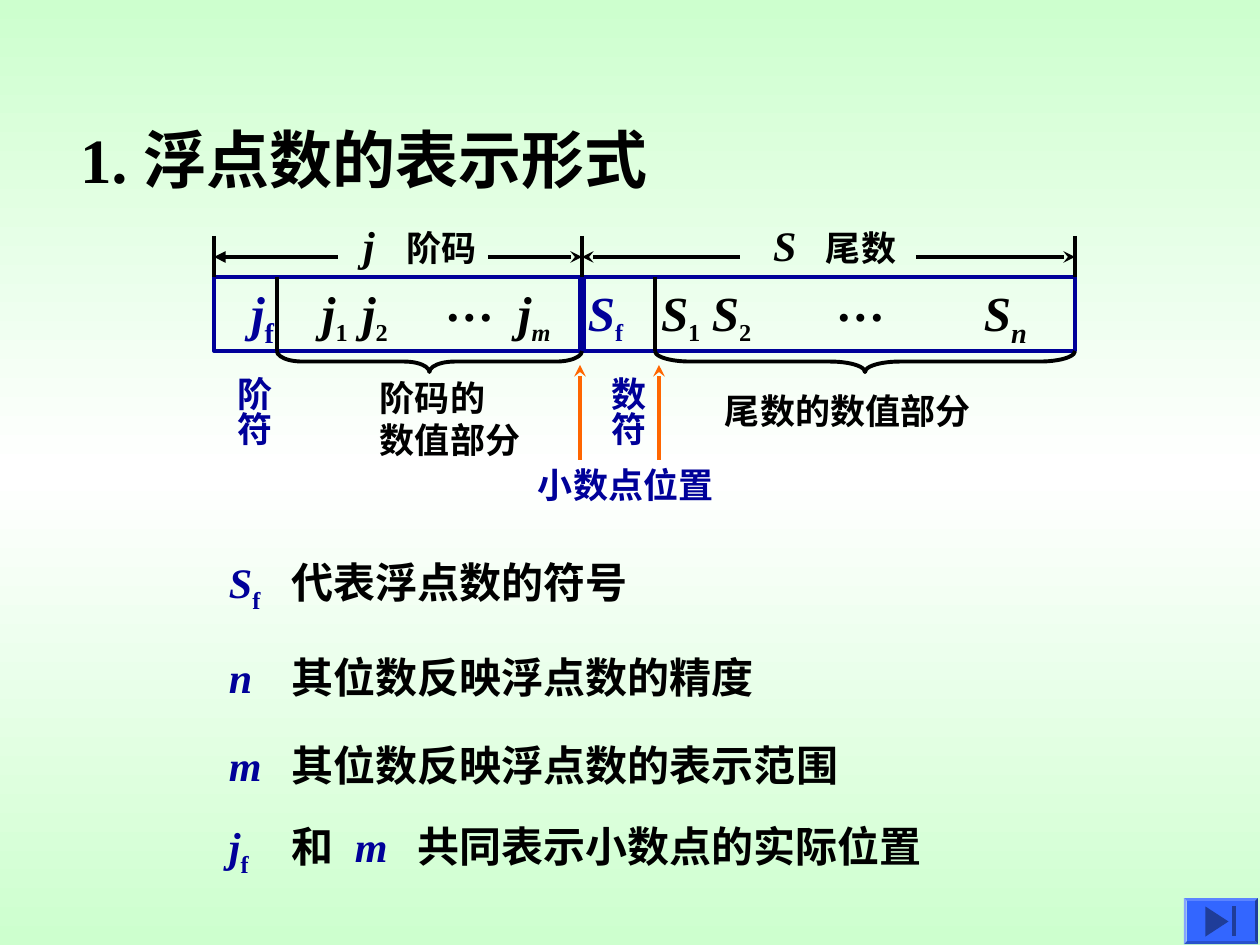
from copy import deepcopy

from pptx import Presentation
from pptx import util as u
from pptx.dml.color import RGBColor
from pptx.enum import shapes, text
from pptx.oxml import ns, xmlchemy

BLACK = RGBColor(0, 0, 0)
NAVY = RGBColor(0, 0, 0x99)
ORANGE = RGBColor(0xFF, 0x66, 0)
BLUE = RGBColor(0x33, 0x66, 0xFF)
DARK = RGBColor(0x1F, 0x3D, 0x99)
MINT = RGBColor(0xCD, 0xFF, 0xCE)
WHITE = RGBColor(0xFF, 0xFF, 0xFF)

BASE = {"name": "Times New Roman", "bold": True}
FRAME = {"word_wrap": True, "auto_size": text.MSO_AUTO_SIZE.NONE,
         "vertical_anchor": text.MSO_ANCHOR.TOP}
KIND = shapes.MSO_SHAPE

# Bit register: field edges and top and bottom
LEFT, EXP, MID, MAN, RIGHT = 214, 277, 582, 655, 1075
TOP, BOTTOM = 277, 351


def px(n):
    return u.Emu(round(n * 914400 / 126))


def sub(parent, tag, **attrs):
    node = xmlchemy.OxmlElement(tag)
    for key, val in attrs.items():
        node.set(key, str(val))
    parent.append(node)
    return node


def place(shape, box):
    for key, val in zip(("left", "top", "width", "height"), box):
        setattr(shape, key, px(val))


def frame(shape, side=13, end=6):
    """Set wrapping, anchor and margins of a text frame."""
    tf = shape.text_frame
    pads = {"margin_left": px(side), "margin_right": px(side),
            "margin_top": px(end), "margin_bottom": px(end)}
    for key, val in {**FRAME, **pads}.items():
        setattr(tf, key, val)
    return tf


def write(para, runs, size, tabs=()):
    """Add runs of (text, colour, flags, size); flags: i italic, s subscript."""
    para.alignment = text.PP_ALIGN.LEFT
    if tabs:
        stops = sub(para._p.get_or_add_pPr(), "a:tabLst")
        for pos in tabs:
            sub(stops, "a:tab", pos=px(pos), algn="l")
    for words, tint, flags, *own in runs:
        run = para.add_run()
        run.text = words
        look = {**BASE, "size": u.Pt(own[0] if own else size),
                "italic": "i" in flags}
        for key, val in look.items():
            setattr(run.font, key, val)
        run.font.color.rgb = tint
        if "s" in flags:
            run._r.get_or_add_rPr().set("baseline", "-25000")


def label(slide, box, rows, size=20, tint=BLACK, upright=False):
    """Put plain lines of text in a box."""
    shape = slide.shapes.add_textbox(*map(px, box))
    tf = frame(shape, 6, 13) if upright else frame(shape)
    if upright:
        tf._txBody.bodyPr.set("vert", "eaVert")
    for i, row in enumerate(rows):
        para = tf.add_paragraph() if i else tf.paragraphs[0]
        write(para, [(row, tint, "")], size)


def rich(slide, box, runs, size, tabs):
    shape = slide.shapes.add_textbox(*map(px, box))
    write(frame(shape).paragraphs[0], runs, size, tabs)


def line(slide, x1, y1, x2, y2, tint=BLACK, width=2.25, tip=None):
    link = slide.shapes.add_connector(
        shapes.MSO_CONNECTOR.STRAIGHT, *map(px, (x1, y1, x2, y2)))
    link.line.color.rgb = tint
    link.line.width = u.Pt(width)
    if tip:
        sub(link.line._get_or_add_ln(), "a:tailEnd", type=tip)
    sub(link._element.spPr, "a:effectLst")


def solid(slide, kind, box, fill=None, edge=None):
    shape = slide.shapes.add_shape(kind, *map(px, box))
    shape.shadow.inherit = False
    if fill:
        shape.fill.solid()
        shape.fill.fore_color.rgb = fill
    else:
        shape.fill.background()
    if edge:
        shape.line.color.rgb = edge
        shape.line.width = u.Pt(2.25)
    else:
        shape.line.fill.background()
    return shape


def brace(slide, x1, x2, deep=21):
    """Draw a brace below the register, pointing down."""
    span = x2 - x1
    box = ((x1 + x2 - deep) / 2, BOTTOM + (deep - span) / 2, deep, span)
    shape = solid(slide, KIND.LEFT_BRACE, box, edge=BLACK)
    shape.rotation = 270
    shape.adjustments[0] = span / 12 / deep


def paint(slide):
    """Fill the background with mint, white, mint from top to bottom."""
    fill = slide.background.fill
    fill.gradient()
    fill.gradient_angle = 90
    stops = slide.element.find(".//" + ns.qn("a:gsLst"))
    stops.append(deepcopy(stops[0]))
    for stop, pos, tint in zip(fill.gradient_stops, (0, 0.5, 1),
                               (MINT, WHITE, MINT)):
        stop.position = pos
        stop.color.rgb = tint


def terms(body):
    """List what each symbol stands for."""
    place(body, (229, 526, 840, 360))
    tf = frame(body, 0, 0)
    rows = [
        ([("S", NAVY, "i"), ("f", NAVY, "s"),
          ("\t代表浮点数的符号", BLACK, "")], [168]),
        ([("n", NAVY, "i"), ("\t其位数反映浮点数的精度", BLACK, "")], [168]),
        ([("m", NAVY, "i"), ("\t其位数反映浮点数的表示范围", BLACK, "")], [168]),
        ([("j", NAVY, "i"), ("f", NAVY, "s"), ("\t和", BLACK, ""),
          ("\tm", NAVY, "i"), ("\t共同表示小数点的实际位置", BLACK, "")],
         [46, 108, 193]),
    ]
    for i, (runs, tabs) in enumerate(rows):
        para = tf.add_paragraph() if i else tf.paragraphs[0]
        para.line_spacing = u.Pt(50.3)
        para.space_before = u.Pt(0)
        props = para._p.get_or_add_pPr()
        for key in ("marL", "indent"):
            props.set(key, "0")
        sub(props, "a:buNone")
        write(para, runs, 24, tabs)


def register(slide):
    """Draw the fields with their symbols."""
    runs = [("j", NAVY, "i"), ("f", NAVY, "s"),
            ("\tj", BLACK, "i"), ("1", BLACK, "s", 24),
            ("\tj", BLACK, "i"), ("2", BLACK, "s", 24),
            ("\tj", BLACK, "i"), ("m", BLACK, "is", 24),
            ("\tS", NAVY, "i"), ("f", NAVY, "s", 24),
            ("\tS", BLACK, "i"), ("1", BLACK, "s", 24),
            ("\tS", BLACK, "i"), ("2", BLACK, "s", 24),
            ("\tS", BLACK, "i"), ("n", BLACK, "is")]
    rich(slide, (238, 276, 840, 79), runs, 28,
         [71, 111, 267, 337, 410, 461, 733])
    solid(slide, KIND.RECTANGLE, (LEFT, TOP, RIGHT - LEFT, BOTTOM - TOP),
          edge=NAVY)
    for x, tint, width in ((EXP, BLACK, 2.25), (MID, NAVY, 4.5),
                           (MAN, BLACK, 2.25)):
        line(slide, x, TOP, x, BOTTOM, tint, width)
    for x in (432, 823):
        label(slide, (x, 267, 87, 72), ["…"], 28)


def spans(slide):
    """Mark the exponent and mantissa widths above the register."""
    for x in (LEFT, MID, RIGHT):
        line(slide, x, 236, x, TOP)
    for x1, x2, tip in ((338, LEFT, "triangle"), (740, MID, "stealth"),
                        (488, MID, "stealth"), (916, RIGHT, "stealth")):
        line(slide, x1, 257, x2, 257, tip=tip)
    for x, sign, name, tab in ((350, "j", "阶码", 43), (760, "S", "尾数", 53)):
        rich(slide, (x, 214, 157, 63),
             [(sign, BLACK, "i"), ("\t" + name, BLACK, "", 20)], 24, [tab])


def notes(slide):
    """Name the fields and the radix point below the register."""
    label(slide, (214, 364, 67, 113), ["阶符"], tint=NAVY, upright=True)
    label(slide, (588, 364, 67, 123), ["数符"], tint=NAVY, upright=True)
    label(slide, (367, 370, 215, 97), ["阶码的", "数值部分"])
    label(slide, (712, 383, 331, 55), ["尾数的数值部分"])
    brace(slide, EXP, MID)
    brace(slide, MAN, RIGHT)
    for x in (580, 659):
        line(slide, x, 460, x, 365, ORANGE, tip="stealth")
    label(slide, (525, 457, 210, 55), ["小数点位置"], tint=NAVY)


def button(slide):
    face = solid(slide, KIND.BEVEL, (1184, 898, 74, 46), BLUE)
    face.adjustments[0] = 0.06
    mark = solid(slide, KIND.ISOSCELES_TRIANGLE, (1202, 910, 30, 23), DARK)
    mark.rotation = 90
    solid(slide, KIND.RECTANGLE, (1232, 906, 4, 30), DARK)


def main():
    deck = Presentation()
    deck.slide_width, deck.slide_height = px(1260), px(945)
    slide = deck.slides.add_slide(deck.slide_layouts[1])
    paint(slide)
    title, body = slide.placeholders
    place(title, (67, 115, 640, 88))
    write(frame(title).paragraphs[0], [("1. 浮点数的表示形式", BLACK, "")], 36)
    terms(body)
    register(slide)
    spans(slide)
    notes(slide)
    button(slide)
    deck.save("out.pptx")


if __name__ == "__main__":
    main()
